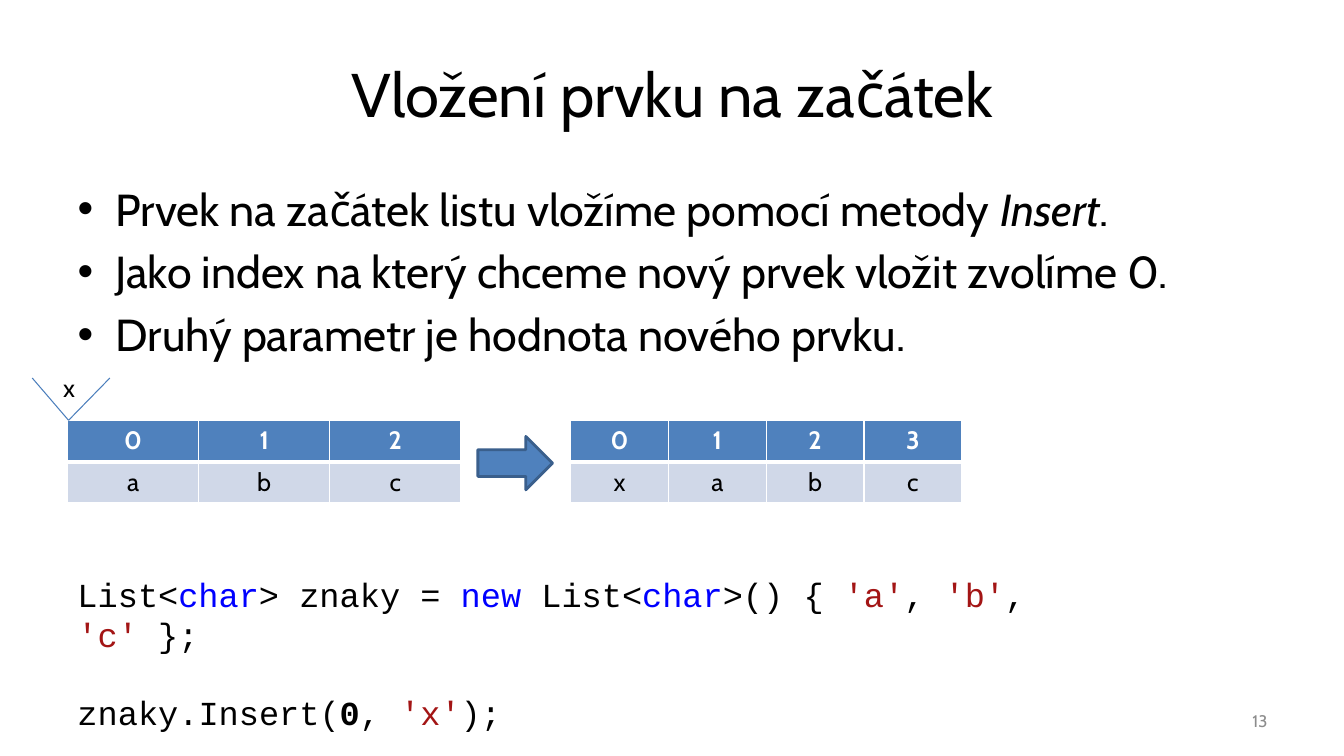
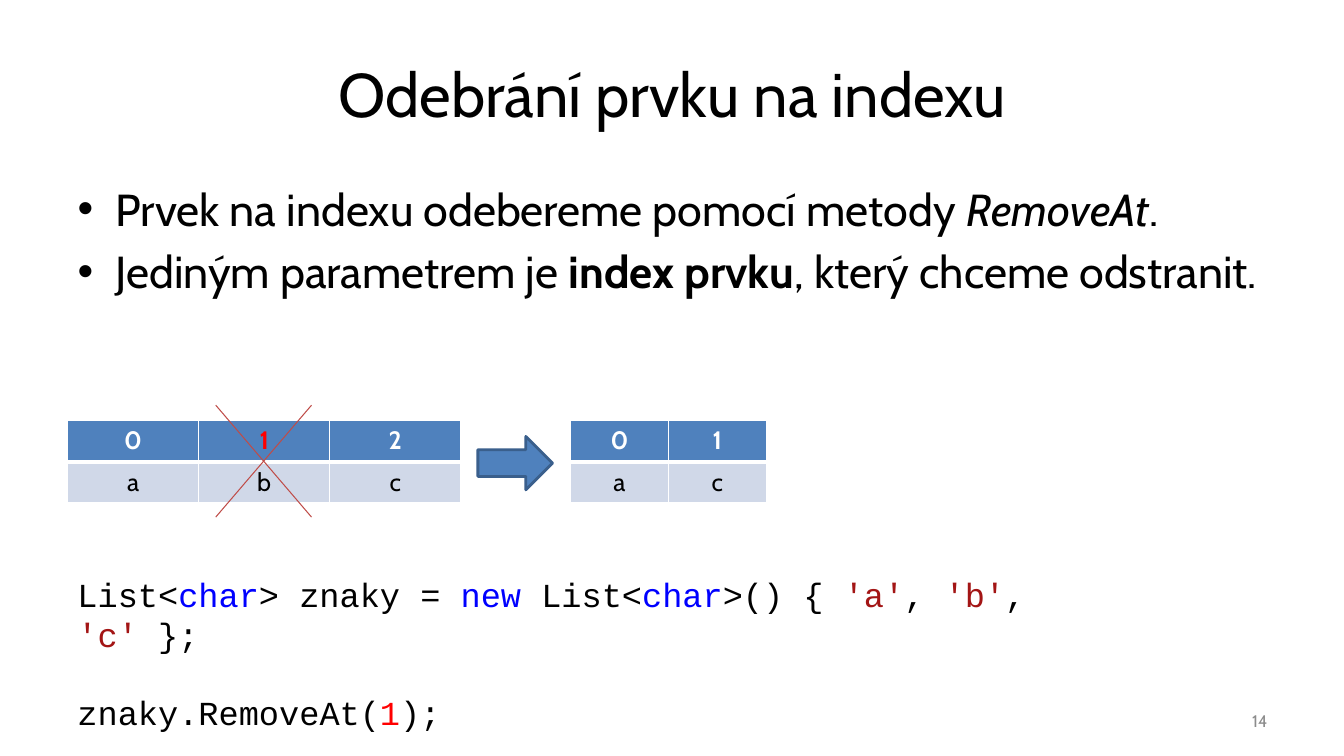
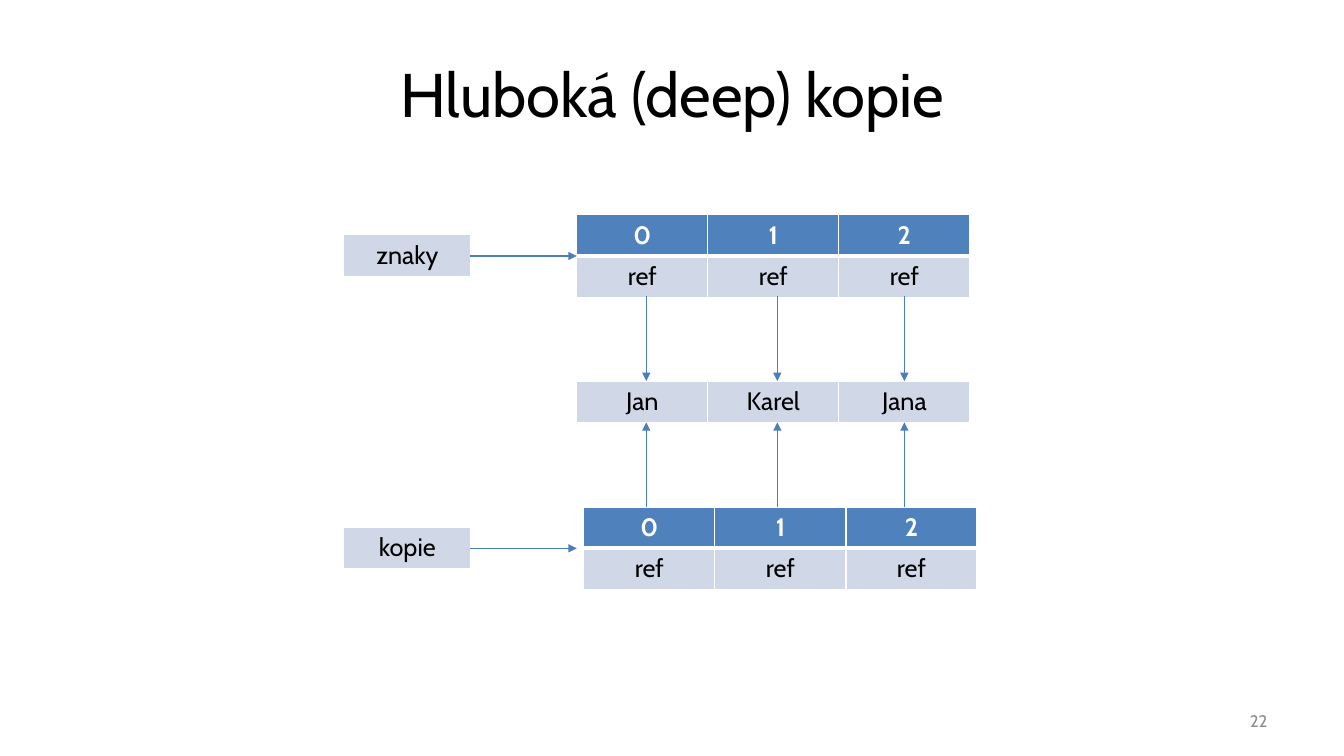
"""Build three slides on inserting, removing and deep-copying list items."""
import dataclasses

import lxml.etree
import pptx
import pptx.dml.color
import pptx.enum.shapes
import pptx.enum.text
import pptx.oxml.ns
import pptx.util

Inches, Pt = pptx.util.Inches, pptx.util.Pt
RGB = pptx.dml.color.RGBColor.from_string
ALIGN = pptx.enum.text.PP_ALIGN
ANCHOR = pptx.enum.text.MSO_ANCHOR
SHAPE = pptx.enum.shapes.MSO_SHAPE
qn = pptx.oxml.ns.qn
SubElement = lxml.etree.SubElement


@dataclasses.dataclass(frozen=True)
class Theme:
    font: str = "Cabin"
    code_font: str = "Courier New"
    title_size: int = 44
    body_size: int = 32
    code_size: int = 24
    cell_size: int = 18
    number_size: int = 12
    text: str = "000000"
    white: str = "FFFFFF"
    number: str = "8C8C8C"
    header: str = "4F81BD"
    cell: str = "D0D8E8"
    outline: str = "3A5F8C"
    line: str = "4B7EBC"
    cross: str = "BF4C48"
    keyword: str = "0000FF"
    string: str = "A31515"
    removed: str = "FF0000"


T = Theme()
MARGIN, ROW_H, GRID_TOP = 0.67, 0.41, 4.17
WIDE, NARROW, LABEL = 1.3, 0.97, 1.26


def add_grid(s, left, top, col_w, rows, removed=None):
    has_header = len(rows) > 1
    frame = s.shapes.add_table(len(rows), len(rows[0]), Inches(left), Inches(top),
                               Inches(col_w * len(rows[0])), Inches(ROW_H * len(rows)))
    table = frame.table
    table.first_row = has_header
    for column in table.columns:
        column.width = Inches(col_w)
    for i, row in enumerate(rows):
        table.rows[i].height = Inches(ROW_H)
        is_header = has_header and i == 0
        for j, text in enumerate(row):
            cell = table.cell(i, j)
            tcPr = cell._tc.get_or_add_tcPr()
            for side in ("lnL", "lnR", "lnT", "lnB"):
                thick = has_header and (i, side) in ((0, "lnB"), (1, "lnT"))
                ln = SubElement(tcPr, qn(f"a:{side}"), w=str(Pt(3 if thick else 1)))
                SubElement(SubElement(ln, qn("a:solidFill")), qn("a:srgbClr"), val=T.white)
            cell.fill.solid()
            cell.fill.fore_color.rgb = RGB(T.header if is_header else T.cell)
            p = cell.text_frame.paragraphs[0]
            p.alignment = ALIGN.CENTER
            r = p.add_run()
            r.text = text
            r.font.name, r.font.size, r.font.bold = T.font, Pt(T.cell_size), is_header
            color = T.white if is_header else T.text
            r.font.color.rgb = RGB(T.removed if is_header and j == removed else color)


def add_line(s, x1, y1, x2, y2, color=T.line, arrow=False):
    c = s.shapes.add_connector(pptx.enum.shapes.MSO_CONNECTOR.STRAIGHT,
                               Inches(x1), Inches(y1), Inches(x2), Inches(y2))
    c.line.color.rgb = RGB(color)
    c.line.width = Pt(0.75)
    spPr = c._element.spPr
    if arrow:
        SubElement(spPr.find(qn("a:ln")), qn("a:tailEnd"), type="triangle")
    SubElement(spPr, qn("a:effectLst"))


COLORS = {"keyword": T.keyword, "string": T.string, "removed": T.removed, "number": T.number}
DECLARATION = [
    ("List<", ""), ("char", "keyword"), ("> znaky = ", ""), ("new", "keyword"),
    (" List<", ""), ("char", "keyword"), (">() { ", ""), ("'a'", "string"), (", ", ""),
    ("'b'", "string"), (", ", ""), ("'c'", "string"), (" };", ""),
]
SLIDES = [
    ("13", "Vložení prvku na začátek",
     [[("Prvek na začátek listu vložíme pomocí metody ", ""), ("Insert", "italic"), (".", "")],
      [("Jako index na který chceme nový prvek vložit zvolíme 0.", "")],
      [("Druhý parametr je hodnota nového prvku.", "")]],
     [("znaky.Insert(", ""), ("0", "bold"), (", ", ""), ("'x'", "string"), (");", "")],
     10.25),
    ("14", "Odebrání prvku na indexu",
     [[("Prvek na indexu odebereme pomocí metody ", ""), ("RemoveAt", "italic"), (".", "")],
      [("Jediným parametrem je ", ""), ("index prvku", "bold"),
       (", který chceme odstranit.", "")]],
     [("znaky.RemoveAt(", ""), ("1", "removed"), (");", "")],
     10.63),
    ("22", "Hluboká (deep) kopie", [], [], 0),
]

prs = pptx.Presentation()
prs.slide_width, prs.slide_height = Inches(13.33), Inches(7.5)

for number, title, bullets, call, code_width in SLIDES:
    s = prs.slides.add_slide(prs.slide_layouts[1 if bullets else 5])
    number_box = s.shapes.add_textbox(0, 0, 0, 0)
    blocks = [
        (s.shapes.title, (MARGIN, 0.3, 12, 1.25), [[(title, "")]],
         T.font, T.title_size, ALIGN.CENTER, ANCHOR.MIDDLE),
        (number_box, (9.56, 6.95, 3.11, 0.4), [[(number, "number")]],
         T.font, T.number_size, ALIGN.RIGHT, ANCHOR.MIDDLE),
    ]
    if bullets:
        code_box = s.shapes.add_textbox(0, 0, 0, 0)
        blocks += [
            (s.placeholders[1], (MARGIN, 1.75, 12, 2), bullets,
             T.font, T.body_size, ALIGN.LEFT, ANCHOR.TOP),
            (code_box, (MARGIN, 5.64, code_width, 1.31), [DECLARATION, call],
             T.code_font, T.code_size, ALIGN.LEFT, ANCHOR.TOP),
        ]
        arrow = s.shapes.add_shape(SHAPE.RIGHT_ARROW, Inches(4.74), Inches(4.33),
                                   Inches(0.74), Inches(0.53))
        arrow.shadow.inherit = False
        arrow.fill.solid()
        arrow.fill.fore_color.rgb = RGB(T.header)
        arrow.line.color.rgb = RGB(T.outline)
        arrow.line.width = Pt(2)
    if number == "13":
        blocks.append((s.shapes.add_textbox(0, 0, 0, 0), (0.53, 3.64, 0.31, 0.4),
                       [[("x", "")]], T.font, T.cell_size, ALIGN.CENTER, ANCHOR.TOP))

    for sp, box, paragraphs, font, size, align, anchor in blocks:
        sp.left, sp.top, sp.width, sp.height = map(Inches, box)
        tf = sp.text_frame
        tf.word_wrap = box[2] > 1
        tf.auto_size = pptx.enum.text.MSO_AUTO_SIZE.NONE
        tf.vertical_anchor = anchor
        for i, runs in enumerate(paragraphs):
            p = tf.add_paragraph() if i else tf.paragraphs[0]
            p.alignment = align
            if i == 0:
                p.space_before = Pt(0)
            elif font == T.code_font:
                p.space_before = Pt(27)
            for text, style in runs:
                r = p.add_run()
                r.text = text
                r.font.name, r.font.size = font, Pt(size)
                r.font.bold, r.font.italic = style == "bold", style == "italic"
                r.font.color.rgb = RGB(COLORS.get(style, T.text))

insert_slide, remove_slide, copy_slide = prs.slides

add_grid(insert_slide, MARGIN, GRID_TOP, WIDE, ["012", "abc"])
add_grid(insert_slide, 5.66, GRID_TOP, NARROW, ["0123", "xabc"])
for x in (0.32, 1.09):
    add_line(insert_slide, x, 3.75, 0.68, GRID_TOP)

add_grid(remove_slide, MARGIN, GRID_TOP, WIDE, ["012", "abc"], removed=1)
add_grid(remove_slide, 5.66, GRID_TOP, NARROW, ["01", "ac"])
for x1, x2 in ((2.14, 3.09), (3.09, 2.14)):
    add_line(remove_slide, x1, 4.02, x2, 5.13, T.cross)

for name, left, top in (("znaky", 5.72, 2.13), ("kopie", 5.79, 5.03)):
    add_grid(copy_slide, left, top, WIDE, ["012", ["ref"] * 3])
    add_grid(copy_slide, 3.41, top + 0.2, LABEL, [[name]])
    add_line(copy_slide, 4.66, top + ROW_H, 5.72, top + ROW_H, arrow=True)
add_grid(copy_slide, 5.72, 3.78, WIDE, [["Jan", "Karel", "Jana"]])
for x in (6.41, 7.71, 8.97):
    for y1, y2 in ((2.94, 3.78), (5.03, 4.19)):
        add_line(copy_slide, x, y1, x, y2, arrow=True)

prs.save("out.pptx")
